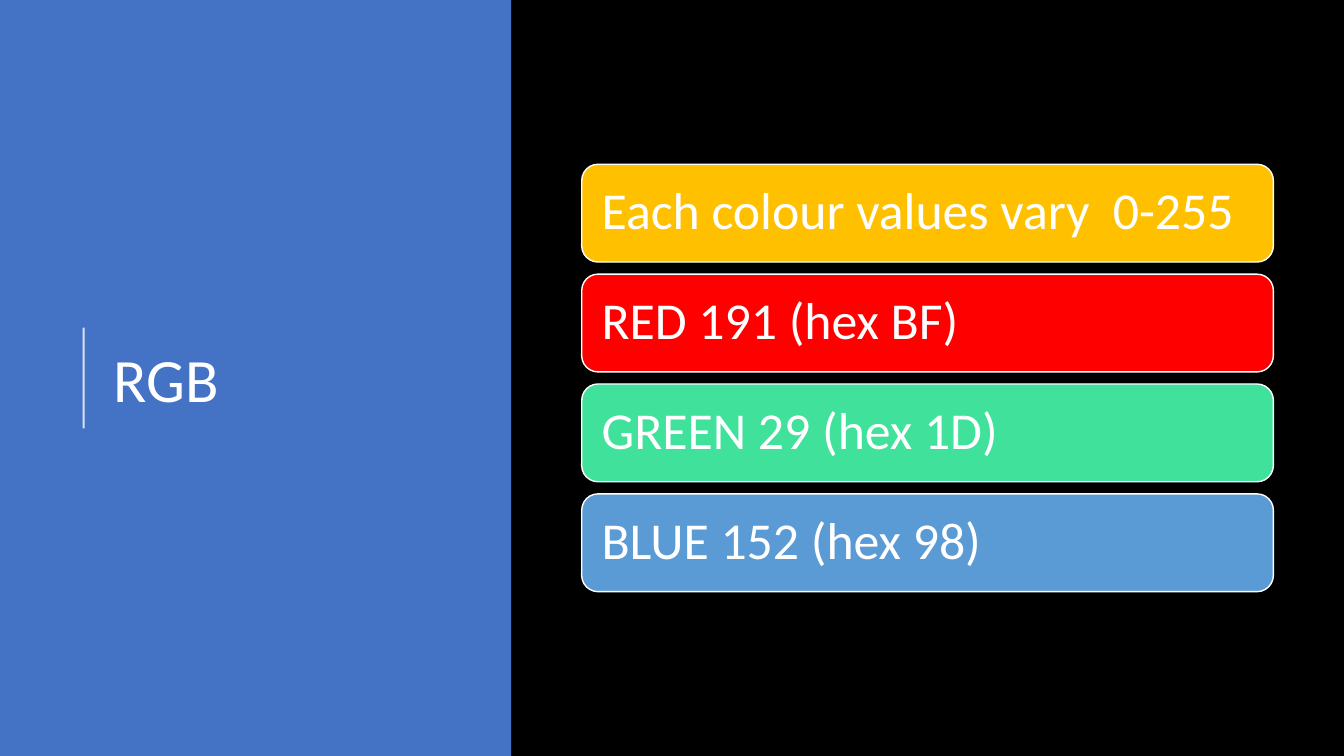
"""Build the RGB slide: a blue title panel beside four coloured value bars."""
import lxml.etree
import pptx
import pptx.dml.color
import pptx.enum.shapes
import pptx.enum.text
import pptx.oxml.ns
import pptx.util

Inches = pptx.util.Inches
RGBColor = pptx.dml.color.RGBColor
SHAPES = pptx.enum.shapes.MSO_SHAPE
qn = pptx.oxml.ns.qn

BLACK = RGBColor(0x00, 0x00, 0x00)
WHITE = RGBColor(0xFF, 0xFF, 0xFF)
PANEL_BLUE = RGBColor(0x44, 0x72, 0xC4)
GOLD = RGBColor(0xFF, 0xC0, 0x00)
RED = RGBColor(0xFF, 0x00, 0x00)
GREEN = RGBColor(0x3F, 0xE1, 0x9B)
BLUE = RGBColor(0x5B, 0x9B, 0xD5)


def write_text(shape, text, size, side_inset=0.1, inset=0.05):
    frame = shape.text_frame
    frame.word_wrap = True
    frame.vertical_anchor = pptx.enum.text.MSO_ANCHOR.MIDDLE
    frame.margin_left = frame.margin_right = Inches(side_inset)
    frame.margin_top = frame.margin_bottom = Inches(inset)
    para = frame.paragraphs[0]
    para.alignment = pptx.enum.text.PP_ALIGN.LEFT
    para.line_spacing = 0.9
    span = para.add_run()
    span.text = text
    span.font.name = "Calibri"
    span.font.size = pptx.util.Pt(size)
    span.font.color.rgb = WHITE


deck = pptx.Presentation()
deck.slide_width = Inches(13.33)
deck.slide_height = Inches(7.5)
page = deck.slides.add_slide(deck.slide_layouts[6])
page.background.fill.solid()
page.background.fill.fore_color.rgb = BLACK

panel = page.shapes.add_shape(SHAPES.RECTANGLE, 0, 0, Inches(5.07), Inches(7.5))
panel.shadow.inherit = False
panel.fill.solid()
panel.fill.fore_color.rgb = PANEL_BLUE
panel.line.fill.background()

accent = page.shapes.add_connector(
    pptx.enum.shapes.MSO_CONNECTOR.STRAIGHT,
    Inches(0.83), Inches(4.25), Inches(0.83), Inches(3.25))
accent.line.width = pptx.util.Pt(1.5)
accent.line.color.rgb = WHITE
accent_props = accent.element.find(qn("p:spPr"))
accent_color = next(accent_props.iter(qn("a:srgbClr")))
lxml.etree.SubElement(accent_color, qn("a:alpha"), val="80000")
lxml.etree.SubElement(accent_props, qn("a:effectLst"))

title = page.shapes.add_textbox(Inches(1.03), Inches(0.78), Inches(3.69), Inches(6.02))
write_text(title, "RGB", 44)

bars = [
    ("Each colour values vary  0-255", GOLD),
    ("RED 191 (hex BF)", RED),
    ("GREEN 29 (hex 1D)", GREEN),
    ("BLUE 152 (hex 98)", BLUE),
]
for index, (text, color) in enumerate(bars):
    bar = page.shapes.add_shape(
        SHAPES.ROUNDED_RECTANGLE,
        Inches(5.77), Inches(1.63 + 1.09 * index), Inches(6.86), Inches(0.97))
    bar.shadow.inherit = False
    bar.fill.solid()
    bar.fill.fore_color.rgb = color
    bar.line.color.rgb = WHITE
    bar.line.width = pptx.util.Pt(1)
    write_text(bar, text, 37, side_inset=0.15, inset=0.15)

deck.save("out.pptx")
